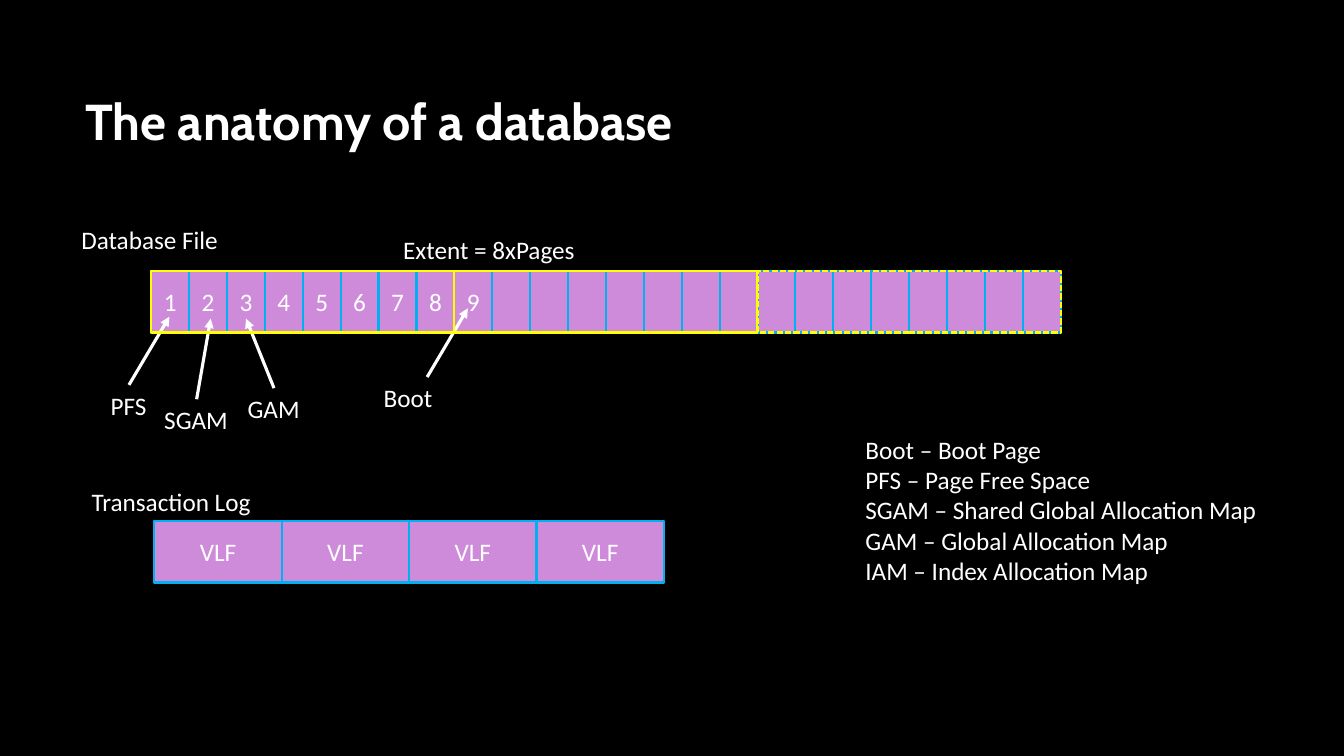
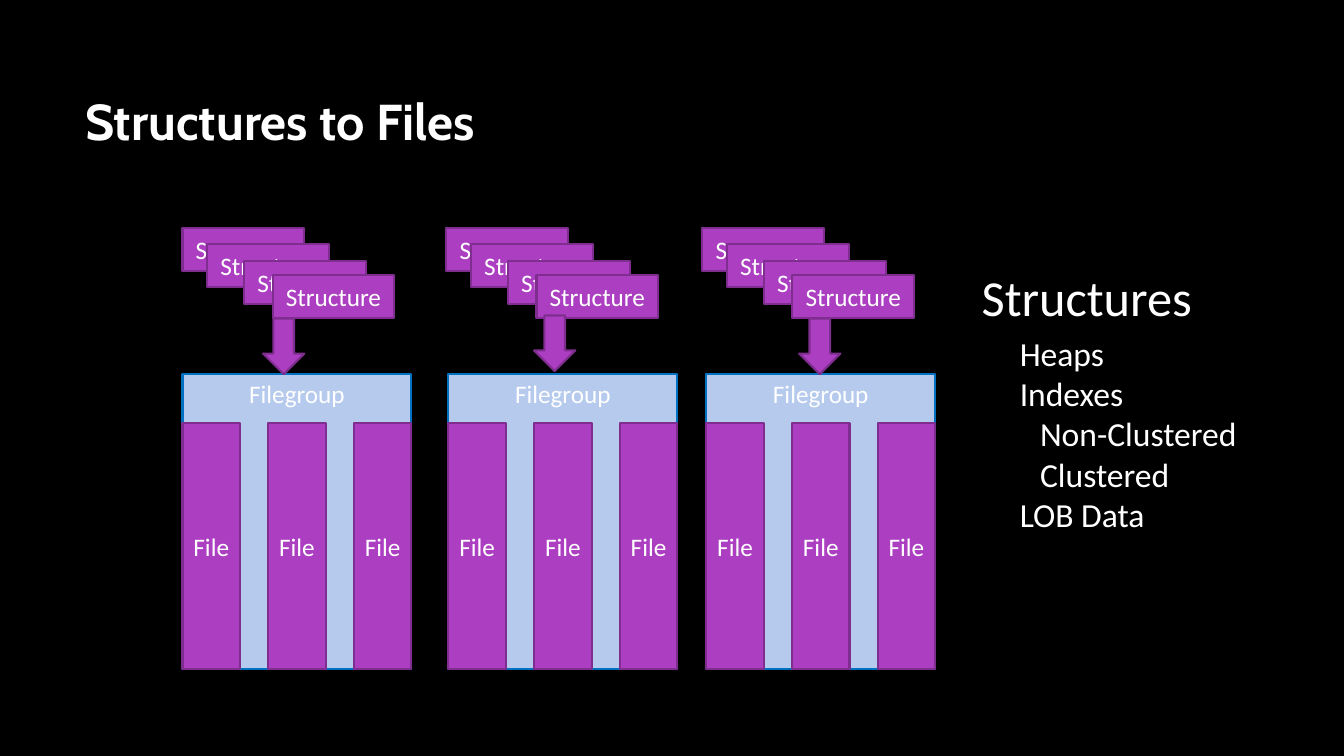
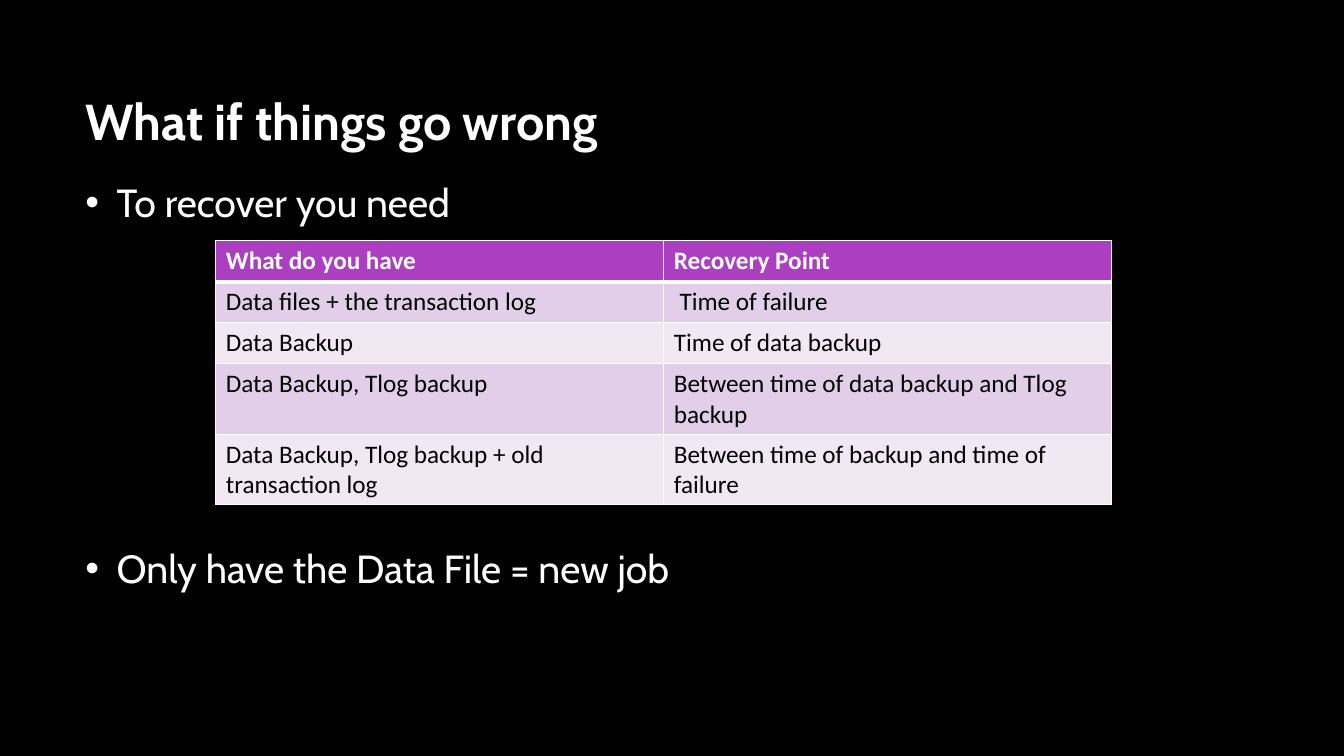
import pptx
import pptx.dml.color
import pptx.enum.dml
import pptx.enum.shapes
import pptx.enum.text
import pptx.oxml.ns
import pptx.util
from lxml import etree

Cm, Pt = pptx.util.Cm, pptx.util.Pt
SHAPES = pptx.enum.shapes.MSO_SHAPE
ANCHOR = pptx.enum.text.MSO_ANCHOR
ALIGN = pptx.enum.text.PP_ALIGN

# Shared look
BLACK, WHITE = "000000", "FFFFFF"
PURPLE, DARK_PURPLE, LILAC = "AC3EC1", "7F2E8F", "CD8BDA"
CYAN, YELLOW = "00B0F0", "FFFF00"
PALE_BLUE, BLUE = "B5CAED", "0070C0"
BANDS = ("E3CEE9", "F1E8F4")
HEADING_FONT, TEXT_FONT = "Cabin", "Calibri"
TITLE_BOX = (1.9, 1.7, 28.14, 2.67)

# Slide 1 content; boxes are left, top, width, height in cm
PAGE_ROW = dict(left=3.81, top=6.83, height=1.55)
EXTENT_WIDTH, PAGES_PER_EXTENT, NUMBERED_PAGES = 7.64, 8, 9
EXTENT_DASHES = (None, None, pptx.enum.dml.MSO_LINE.SQUARE_DOT)
LOG_ROW = dict(left=3.89, top=13.13, height=1.55)
VLF_COUNT, VLF_WIDTH = 4, 3.21
CAPTIONS = [
    (["Database File"], (1.8, 5.54, 3.99, 1.02)),
    (["Extent = 8xPages"], (9.91, 5.77, 4.88, 1.02)),
    (["Transaction Log"], (2.06, 12.12, 4.57, 1.02)),
    (["Boot – Boot Page", "PFS – Page Free Space",
      "SGAM – Shared Global Allocation Map",
      "GAM – Global Allocation Map", "IAM – Index Allocation Map"],
     (21.56, 10.82, 10.49, 4.11)),
]
# Name, box, arrow start right of the label's middle, arrow tip
PAGE_POINTERS = [
    ("PFS", (2.54, 9.7, 1.42, 1.02), 0, (4.27, 7.98)),
    ("SGAM", (3.89, 10.06, 2.13, 1.02), 0, (5.31, 8.03)),
    ("GAM", (5.99, 9.78, 1.83, 1.02), 0, (6.2, 8.03)),
    ("Boot", (9.42, 9.5, 1.75, 1.02), 0.47, (11.79, 7.77)),
]

# Slide 2 content
FILEGROUPS = [
    dict(left=4.6, stack=4.6, arrow=(6.63, 8.03)),
    dict(left=11.3, stack=11.25, arrow=(13.46, 7.95)),
    dict(left=17.8, stack=17.7, arrow=(20.14, 8.03)),
]
STACK_STEPS = [(0, 5.74), (0.62, 6.15), (1.55, 6.58), (2.27, 6.93)]
FILEGROUP_WIDTH, FILE_WIDTH, FILE_COUNT = 5.77, 1.45, 3
STRUCTURE_KINDS = ["Heaps", "Indexes", "Non-Clustered", "Clustered", "LOB Data"]
KIND_INDENTS = [0, 0, 0.51, 0.51, 0]

# Slide 3 content
RECOVERY_NOTES = ["To recover you need", "Only have the Data File = new job"]
RECOVERY_ROWS = [
    ("What do you have", "Recovery Point"),
    ("Data files + the transaction log", " Time of failure"),
    ("Data Backup", "Time of data backup"),
    ("Data Backup, Tlog backup", "Between time of data backup and Tlog backup"),
    ("Data Backup, Tlog backup + old transaction log",
     "Between time of backup and time of failure"),
]
ROW_HEIGHTS = (1.03, 1.03, 1.03, 1.78, 1.78)
COLUMN_WIDTH = 11.29


def rgb(hex_colour):
    return pptx.dml.color.RGBColor.from_string(hex_colour)


def add_xml(parent, tag, **attributes):
    return etree.SubElement(parent, pptx.oxml.ns.qn(tag), attributes)


def add_solid(parent, colour):
    add_xml(add_xml(parent, "a:solidFill"), "a:srgbClr", val=colour)


def write(frame, lines, size=18, font=TEXT_FONT, colour=WHITE, bold=False,
          align=None, anchor=ANCHOR.TOP, wrap=True, indents=()):
    """Fill a text frame, one paragraph for each line."""
    frame.word_wrap = wrap
    frame.vertical_anchor = anchor
    for number, line in enumerate(lines):
        paragraph = frame.add_paragraph() if number else frame.paragraphs[0]
        paragraph.alignment = align
        if indents and indents[number]:
            paragraph._p.get_or_add_pPr().set("marL", str(Cm(indents[number])))
        run = paragraph.add_run()
        run.text = line
        run.font.size, run.font.name, run.font.bold = Pt(size), font, bold
        run.font.color.rgb = rgb(colour)


def add_text(slide, lines, box, grow=False, **style):
    label = slide.shapes.add_textbox(*map(Cm, box))
    write(label.text_frame, lines, wrap=not grow, **style)
    if grow:
        label.text_frame.auto_size = pptx.enum.text.MSO_AUTO_SIZE.SHAPE_TO_FIT_TEXT
    return label


def add_block(slide, box, fill=PURPLE, line=DARK_PURPLE, text=None,
              kind=SHAPES.RECTANGLE, anchor=ANCHOR.MIDDLE, dash=None):
    block = slide.shapes.add_shape(kind, *map(Cm, box))
    block.shadow.inherit = False
    if fill:
        block.fill.solid()
        block.fill.fore_color.rgb = rgb(fill)
    else:
        block.fill.background()
    block.line.color.rgb = rgb(line)
    block.line.width = Pt(1.5)
    if dash:
        block.line.dash_style = dash
    if text:
        write(block.text_frame, [text], align=ALIGN.CENTER, anchor=anchor, wrap=False)


def add_pointer(slide, name, box, offset, tip):
    """Place a label and the arrow that leaves its top edge."""
    label = add_text(slide, [name], box, grow=True)
    left, top, width, _ = box
    start = (left + width / 2 + offset, top)
    arrow = slide.shapes.add_connector(
        pptx.enum.shapes.MSO_CONNECTOR.STRAIGHT, *map(Cm, start + tip))
    if not offset:
        arrow.begin_connect(label, 0)
    arrow.line.color.rgb = rgb(WHITE)
    arrow.line.width = Pt(2.25)
    add_xml(arrow.line._get_or_add_ln(), "a:tailEnd", type="triangle")
    add_xml(arrow._element.spPr, "a:effectLst")


def format_cell(cell, text, row):
    """Write one table cell with its white borders and band colour."""
    properties = cell._tc.get_or_add_tcPr()
    thick = {0: "a:lnB", 1: "a:lnT"}.get(row)
    for side in ("a:lnL", "a:lnR", "a:lnT", "a:lnB"):
        border = add_xml(properties, side, w=str(Pt(3 if side == thick else 1)))
        add_solid(border, WHITE)
    header = row == 0
    cell.fill.solid()
    cell.fill.fore_color.rgb = rgb(PURPLE if header else BANDS[(row - 1) % 2])
    write(cell.text_frame, [text], colour=WHITE if header else BLACK, bold=header)


def add_slide(deck, title):
    slide = deck.slides.add_slide(deck.slide_layouts[6])
    add_text(slide, [title], TITLE_BOX, size=36, font=HEADING_FONT, bold=True,
             anchor=ANCHOR.MIDDLE)
    return slide


def build_anatomy(deck):
    slide = add_slide(deck, "The anatomy of a database")
    left, top, height = PAGE_ROW.values()
    # Pages of the database file
    page_width = EXTENT_WIDTH / PAGES_PER_EXTENT
    for page in range(PAGES_PER_EXTENT * len(EXTENT_DASHES)):
        number = str(page + 1) if page < NUMBERED_PAGES else None
        add_block(slide, (left + page * page_width, top, page_width, height),
                  LILAC, CYAN, number)
    # Virtual log files
    log_left, log_top, log_height = LOG_ROW.values()
    for vlf in range(VLF_COUNT):
        add_block(slide, (log_left + vlf * VLF_WIDTH, log_top, VLF_WIDTH, log_height),
                  LILAC, CYAN, "VLF")
    # Labels, arrows and extent outlines
    for lines, box in CAPTIONS:
        add_text(slide, lines, box, grow=True)
    for pointer in PAGE_POINTERS:
        add_pointer(slide, *pointer)
    for extent, dash in enumerate(EXTENT_DASHES):
        add_block(slide, (left + extent * EXTENT_WIDTH, top, EXTENT_WIDTH, height),
                  None, YELLOW, dash=dash)


def build_structures(deck):
    slide = add_slide(deck, "Structures to Files")
    file_step = (FILEGROUP_WIDTH - FILE_WIDTH) / (FILE_COUNT - 1)
    for group in FILEGROUPS:
        add_block(slide, (group["left"], 9.42, FILEGROUP_WIDTH, 7.44),
                  PALE_BLUE, BLUE, "Filegroup", anchor=ANCHOR.TOP)
        for file in range(FILE_COUNT):
            add_block(slide, (group["left"] + file * file_step, 10.67, FILE_WIDTH, 6.2),
                      text="File")
        for shift, top in STACK_STEPS:
            add_block(slide, (group["stack"] + shift, top, 3.07, 1.09), text="Structure")
        add_block(slide, group["arrow"] + (1.04, 1.4), kind=SHAPES.DOWN_ARROW)
    # List of structures
    add_text(slide, ["Structures"], (24.49, 6.58, 5.87, 1.8), grow=True, size=36)
    add_text(slide, STRUCTURE_KINDS, (25.45, 8.26, 6.02, 5.38), size=24,
             indents=KIND_INDENTS)


def build_recovery(deck):
    slide = add_slide(deck, "What if things go wrong")
    # Bullets above and below the table
    notes = add_text(slide, RECOVERY_NOTES, (1.9, 4.37, 28.14, 11.73), size=28,
                     font=HEADING_FONT, indents=(0.79, 0.79))
    for paragraph, space in zip(notes.text_frame.paragraphs, (0, 218)):
        paragraph.space_before, paragraph.space_after = Pt(space), Pt(10)
        properties = paragraph._p.get_or_add_pPr()
        properties.set("indent", str(-Cm(0.79)))
        add_xml(add_xml(properties, "a:buClr"), "a:srgbClr", val=WHITE)
        add_xml(properties, "a:buFont", typeface="Arial")
        add_xml(properties, "a:buChar", char="•")
    # Recovery table
    columns = len(RECOVERY_ROWS[0])
    table = slide.shapes.add_table(
        len(RECOVERY_ROWS), columns, Cm(5.44), Cm(6.07),
        Cm(COLUMN_WIDTH * columns), Cm(sum(ROW_HEIGHTS))).table
    for column in table.columns:
        column.width = Cm(COLUMN_WIDTH)
    for row, texts in enumerate(RECOVERY_ROWS):
        table.rows[row].height = Cm(ROW_HEIGHTS[row])
        for column, text in enumerate(texts):
            format_cell(table.cell(row, column), text, row)


def main():
    deck = pptx.Presentation()
    deck.slide_width, deck.slide_height = Cm(33.87), Cm(19.05)
    backdrop = deck.slide_master.background.fill
    backdrop.solid()
    backdrop.fore_color.rgb = rgb(BLACK)
    build_anatomy(deck)
    build_structures(deck)
    build_recovery(deck)
    deck.save("out.pptx")


if __name__ == "__main__":
    main()
